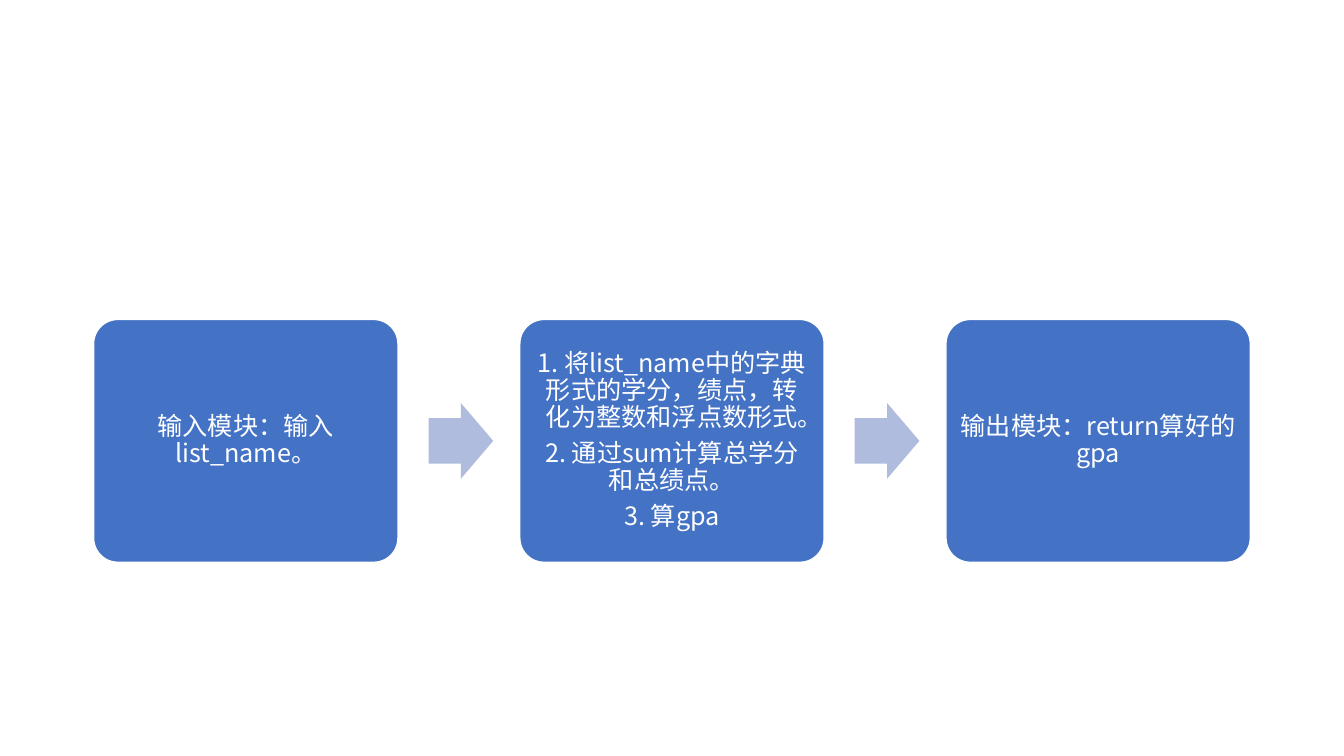
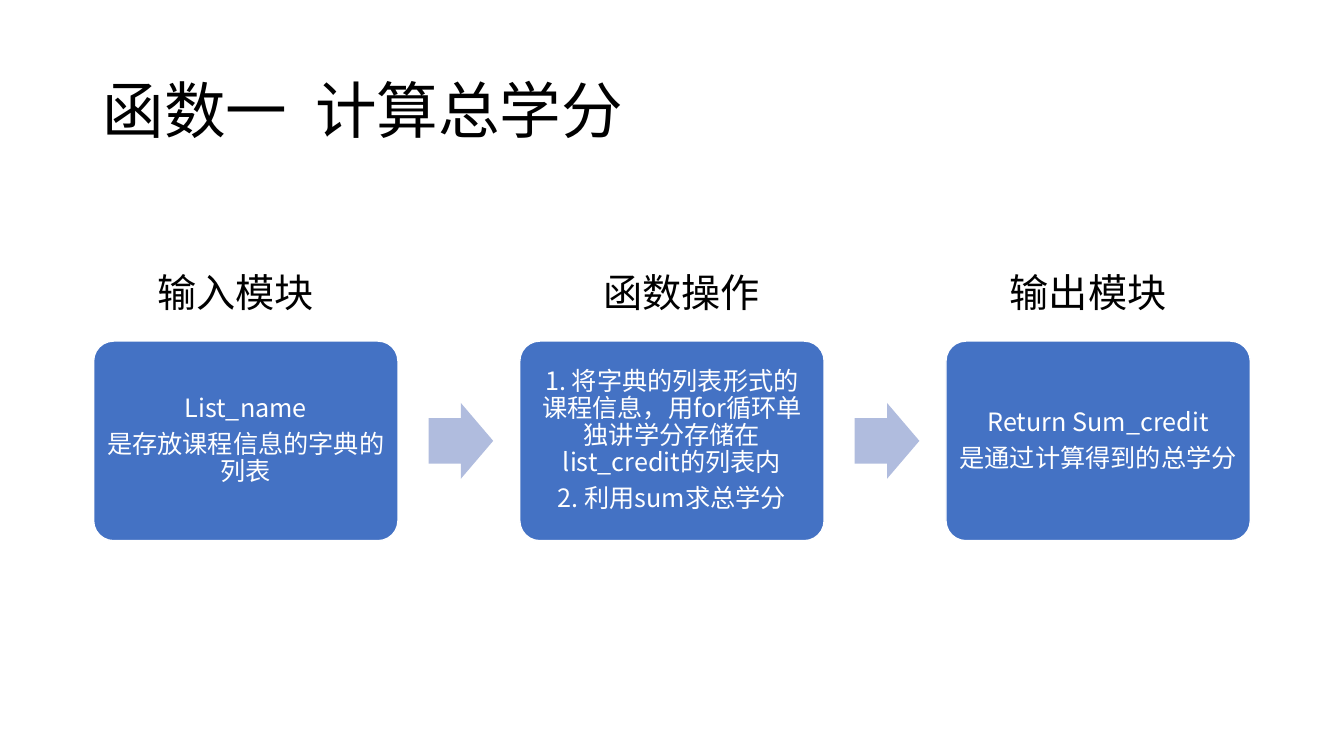
from lxml.etree import SubElement
from pptx import Presentation
from pptx.dml.color import RGBColor
from pptx.enum.shapes import MSO_SHAPE
from pptx.enum.text import MSO_ANCHOR, MSO_AUTO_SIZE, PP_ALIGN
from pptx.oxml.ns import qn
from pptx.util import Cm, Pt

COLOURS = {"box": "4472C4", "arrow": "B0BCDE", "light": "FFFFFF", "dark": "000000"}
FONT = "Noto Sans CJK SC"
FIRST_LEFT, PITCH, BOX_WIDTH = 2.36, 10.74, 7.67
ARROW_OFFSET, ARROW_WIDTH, ARROW_HEIGHT = 8.44, 1.63, 1.91
FLOW_MIDDLE = 11.11
CAPTION_TOP, CAPTION_WIDTH, CAPTION_HEIGHT = 6.63, 6.5, 1.45

OVERVIEW_STEPS = [
    ["输入模块：输入list_name。"],
    [
        "1. 将list_name中的字典形式的学分，绩点，转化为整数和浮点数形式。",
        "2. 通过sum计算总学分和总绩点。",
        "3. 算gpa",
    ],
    ["输出模块：return算好的gpa"],
]
CREDIT_STEPS = [
    ["List_name", "是存放课程信息的字典的列表"],
    [
        "1. 将字典的列表形式的课程信息，用for循环单独讲学分存储在list_credit的列表内",
        "2. 利用sum求总学分",
    ],
    ["Return Sum_credit", "是通过计算得到的总学分"],
]
CREDIT_CAPTIONS = [("输入模块", 5.94), ("函数操作", 17.18), ("输出模块", 27.42)]


def colour(name):
    """Return a palette colour."""
    return RGBColor.from_string(COLOURS[name])


def format_text(frame, size, colour_name, align, line_spacing=1.0, space_after=0):
    """Format every paragraph and span of a text frame."""
    for para in frame.paragraphs:
        para.alignment = align
        para.line_spacing = line_spacing
        para.space_before = Pt(0)
        para.space_after = Pt(space_after)
        for span in para.runs:
            span.font.size = Pt(size)
            span.font.color.rgb = colour(colour_name)
            span.font.name = FONT
            SubElement(span.font._element, qn("a:ea"), typeface=FONT)


def add_title(slide, words):
    """Place the title and widen the gaps between its words."""
    title = slide.shapes.title
    title.left, title.top = Cm(2.33), Cm(1.01)
    title.width, title.height = Cm(29.21), Cm(3.68)
    frame = title.text_frame
    frame.auto_size = MSO_AUTO_SIZE.NONE
    frame.vertical_anchor = MSO_ANCHOR.MIDDLE
    para = frame.paragraphs[0]
    for index, word in enumerate(words):
        if index:
            gap = para.add_run()
            gap.text = " "
            gap.font._element.set("spc", "990")
        para.add_run().text = word
    format_text(frame, 44, "dark", PP_ALIGN.LEFT, 0.9)


def add_caption(slide, text, centre):
    """Add a heading centred above a box."""
    box = slide.shapes.add_textbox(
        Cm(centre - CAPTION_WIDTH / 2), Cm(CAPTION_TOP), Cm(CAPTION_WIDTH), Cm(CAPTION_HEIGHT)
    )
    frame = box.text_frame
    frame.word_wrap = True
    frame.text = text
    format_text(frame, 28, "dark", PP_ALIGN.CENTER)


def add_flow_shape(slide, kind, left, width, height, fill, adjustments):
    """Add a filled shape centred on the middle line of the flow."""
    shape = slide.shapes.add_shape(
        kind, Cm(left), Cm(FLOW_MIDDLE - height / 2), Cm(width), Cm(height)
    )
    shape.shadow.inherit = False
    shape.fill.solid()
    shape.fill.fore_color.rgb = colour(fill)
    for index, value in enumerate(adjustments):
        shape.adjustments[index] = value
    return shape


def add_step(slide, left, height, lines):
    """Add a rounded box holding the lines of one step."""
    box = add_flow_shape(
        slide, MSO_SHAPE.ROUNDED_RECTANGLE, left, BOX_WIDTH, height, "box", [0.1]
    )
    box.line.color.rgb = colour("light")
    box.line.width = Pt(1)
    frame = box.text_frame
    frame.word_wrap = True
    frame.vertical_anchor = MSO_ANCHOR.MIDDLE
    frame.margin_left = frame.margin_right = Cm(0.18)
    frame.margin_top = frame.margin_bottom = Cm(0.18)
    frame.text = "\n".join(lines)
    format_text(frame, 18, "light", PP_ALIGN.CENTER, 0.9, 6.3)


def add_flow(slide, steps, height):
    """Add a row of steps with an arrow between neighbours."""
    for index, lines in enumerate(steps):
        left = FIRST_LEFT + index * PITCH
        add_step(slide, left, height, lines)
        if index < len(steps) - 1:
            arrow = add_flow_shape(
                slide, MSO_SHAPE.RIGHT_ARROW, left + ARROW_OFFSET,
                ARROW_WIDTH, ARROW_HEIGHT, "arrow", [0.6, 0.5],
            )
            arrow.line.fill.background()


def main():
    """Build and save the deck."""
    deck = Presentation()
    deck.slide_width, deck.slide_height = Cm(33.87), Cm(19.05)
    title_only, blank = deck.slide_layouts[5], deck.slide_layouts[6]

    overview = deck.slides.add_slide(blank)
    add_flow(overview, OVERVIEW_STEPS, 6.12)

    credit = deck.slides.add_slide(title_only)
    add_title(credit, ["函数一", "计算总学分"])
    add_flow(credit, CREDIT_STEPS, 5.03)
    for text, centre in CREDIT_CAPTIONS:
        add_caption(credit, text, centre)

    deck.save("out.pptx")


if __name__ == "__main__":
    main()
